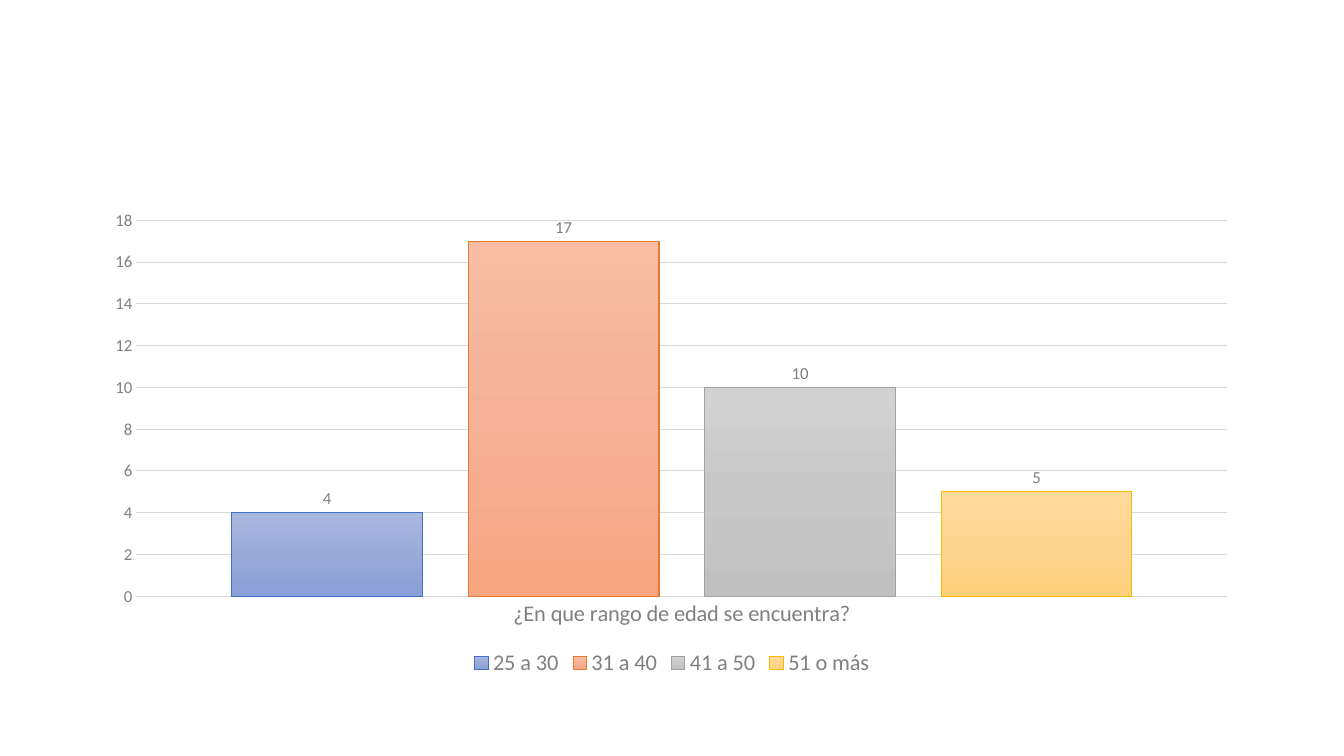
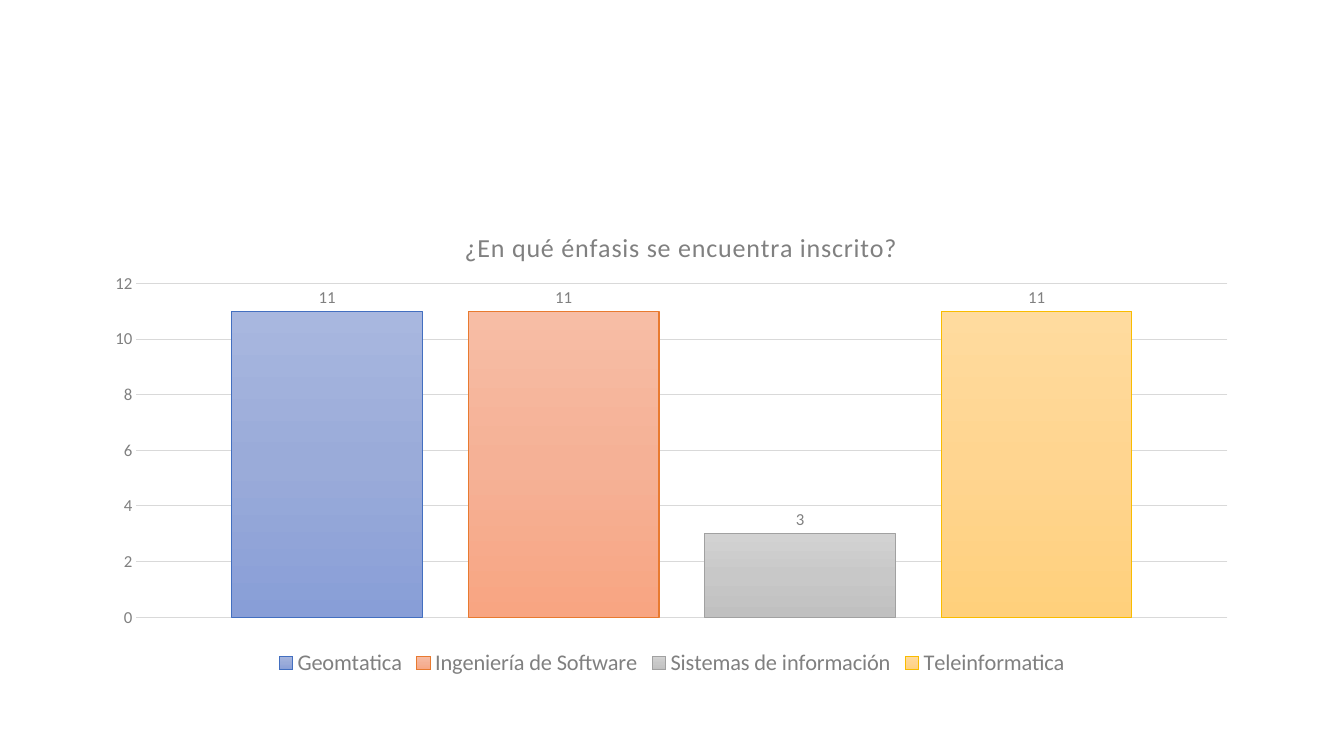
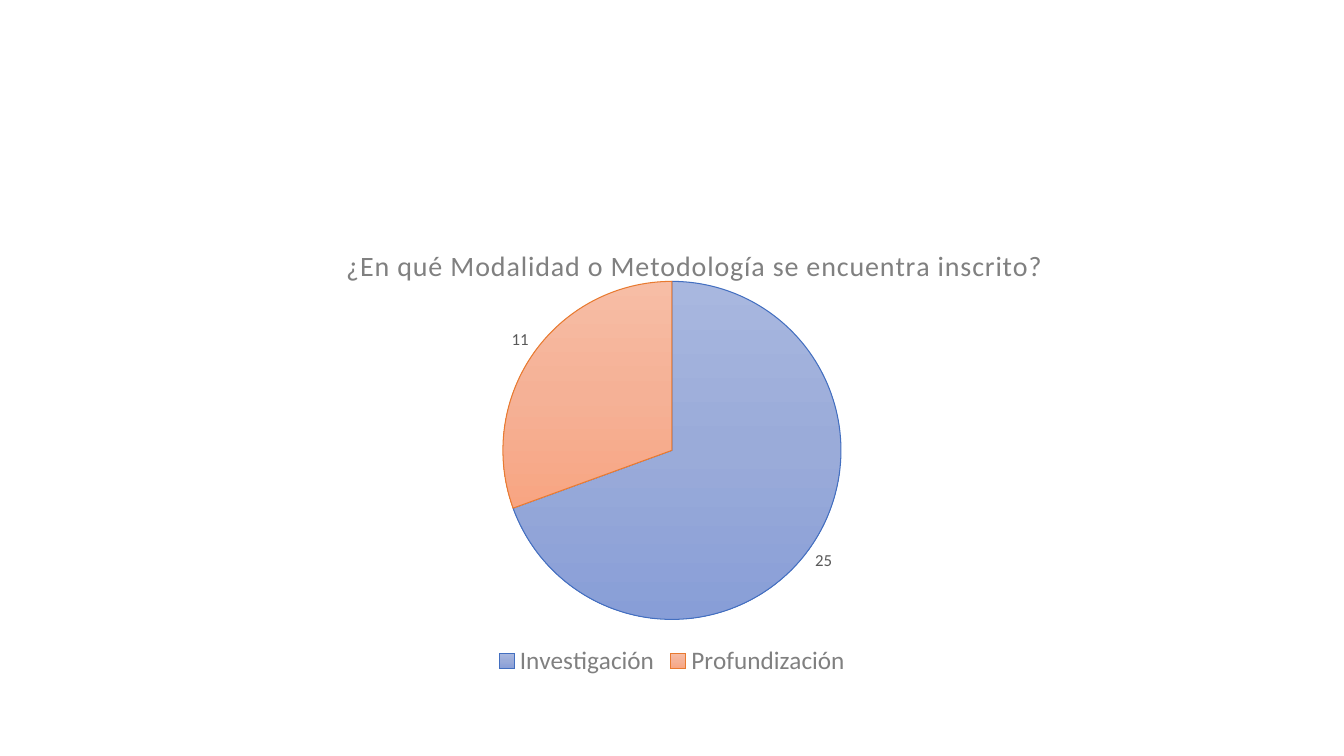
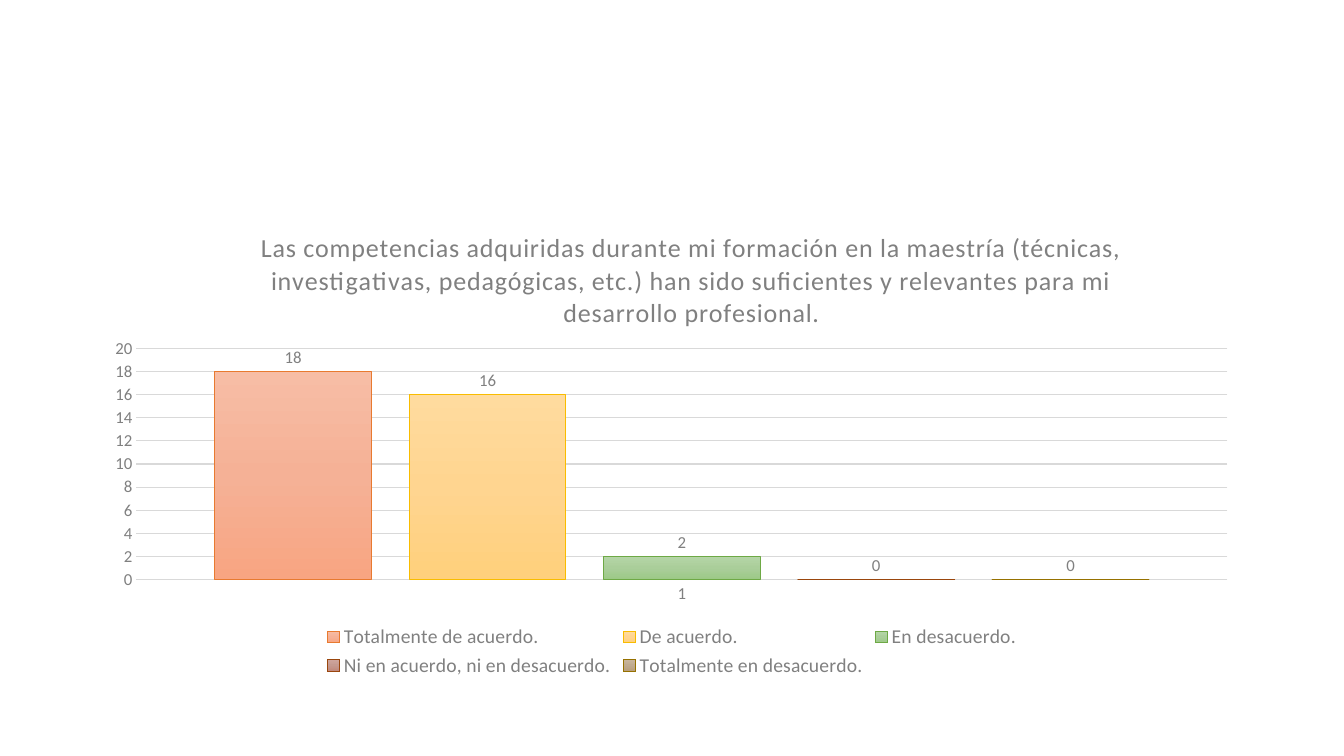
import dataclasses

import lxml.etree
import pptx
import pptx.chart.axis
import pptx.chart.chart
import pptx.chart.data
import pptx.dml.chtfmt
import pptx.dml.color
import pptx.enum.chart
import pptx.oxml.ns
import pptx.slide
import pptx.text.text
import pptx.util

SCALE = 9525
FACE = "Calibri"
GRAY = "808080"
DARK = "595959"
RULE = "D9D9D9"
THIN = 0.75


@dataclasses.dataclass(frozen=True)
class Box:
    left: int
    top: int
    width: int = 0
    height: int = 0


@dataclasses.dataclass(frozen=True)
class Paint:
    stops: tuple[str, str, str]
    line: str


@dataclasses.dataclass(frozen=True)
class Title:
    text: str
    spot: Box
    size: float = 18.62


@dataclasses.dataclass(frozen=True)
class Item:
    name: str
    value: int
    paint: Paint


@dataclasses.dataclass(frozen=True)
class Bars:
    group: str
    items: tuple[Item, ...]
    top: int
    height: int
    peak: int
    legend: int = 16
    axis: int | None = None
    title: Title | None = None


@dataclasses.dataclass(frozen=True)
class Pie:
    items: tuple[Item, ...]
    plot: Box
    title: Title
    legend: int = 18


FRAME = Box(88, 192, 1104, 457)
BLUE = Paint(("A8B7DF", "9AABD9", "889ED7"), "436FC0")
CORAL = Paint(("F7BDA5", "F5B196", "F8A582"), "E87A30")
SILVER = Paint(("D2D2D2", "C8C8C8", "C0C0C0"), "A1A1A1")
GOLD = Paint(("FFDB9E", "FFD590", "FFD07C"), "F9BC00")
GREEN = Paint(("B5D5A7", "AACE9A", "9CC987"), "6EA945")
BROWN = Paint(("CFA69E", "C59A90", "C0887C"), "9A460D")
OLIVE = Paint(("CAB79D", "C0AB90", "B89F7C"), "967100")

AGE = Bars(
    "¿En que rango de edad se encuentra?",
    (
        Item("25 a 30", 4, BLUE),
        Item("31 a 40", 17, CORAL),
        Item("41 a 50", 10, SILVER),
        Item("51 o más", 5, GOLD),
    ),
    top=210, height=358, peak=18, axis=16,
)
FOCUS = Bars(
    "1",
    (
        Item("Geomtatica", 11, BLUE),
        Item("Ingeniería de Software", 11, CORAL),
        Item("Sistemas de información", 3, SILVER),
        Item("Teleinformatica", 11, GOLD),
    ),
    top=270, height=318, peak=12,
    title=Title("¿En qué énfasis se encuentra inscrito?", Box(438, 214)),
)
MODE = Pie(
    (Item("Investigación", 25, BLUE), Item("Profundización", 11, CORAL)),
    Box(479, 268, 322, 322),
    Title(
        "¿En qué Modalidad o Metodología se encuentra inscrito?",
        Box(325, 229), 20,
    ),
)
SKILLS = Bars(
    "1",
    (
        Item("Totalmente de acuerdo.", 18, CORAL),
        Item("De acuerdo.", 16, GOLD),
        Item("En desacuerdo.", 2, GREEN),
        Item("Ni en acuerdo, ni en desacuerdo.", 0, BROWN),
        Item("Totalmente en desacuerdo.", 0, OLIVE),
    ),
    top=332, height=220, peak=20, legend=14, axis=12,
    title=Title(
        "Las competencias adquiridas durante mi formación en la maestría "
        "(técnicas, investigativas, pedagógicas, etc.) han sido suficientes "
        "y relevantes para mi desarrollo profesional.",
        Box(244, 214),
    ),
)


def px(count: int) -> pptx.util.Emu:
    return pptx.util.Emu(count * SCALE)


def rgb(code: str) -> pptx.dml.color.RGBColor:
    return pptx.dml.color.RGBColor.from_string(code)


def tag(name: str) -> str:
    return pptx.oxml.ns.qn(name)


def add(root: lxml.etree.ElementBase, name: str, **attrs: str) -> lxml.etree.ElementBase:
    return lxml.etree.SubElement(root, tag(name), **attrs)


def style(font: pptx.text.text.Font, size: float, color: str = GRAY) -> None:
    font.name = FACE
    font.size = pptx.util.Pt(size)
    font.bold = False
    font.color.rgb = rgb(color)


def coat(form: pptx.dml.chtfmt.ChartFormat, paint: Paint) -> None:
    form.line.width = pptx.util.Pt(THIN)
    form.line.color.rgb = rgb(paint.line)
    props = form._element.get_or_add_spPr()
    fill = add(props, "a:gradFill", rotWithShape="1")
    props.insert(0, fill)
    stops = add(fill, "a:gsLst")
    for step, color in enumerate(paint.stops):
        stop = add(stops, "a:gs", pos=str(step * 50000))
        add(stop, "a:srgbClr", val=color)
    add(fill, "a:lin", ang="5400000", scaled="0")


def place(root: lxml.etree.ElementBase, index: int, spot: Box) -> None:
    for old in root.findall(tag("c:layout")):
        root.remove(old)
    layout = add(root, "c:layout")
    root.insert(index, layout)
    manual = add(layout, "c:manualLayout")
    if spot.width:
        add(manual, "c:layoutTarget", val="inner")
    add(manual, "c:xMode", val="edge")
    add(manual, "c:yMode", val="edge")
    add(manual, "c:x", val=str((spot.left - FRAME.left) / FRAME.width))
    add(manual, "c:y", val=str((spot.top - FRAME.top) / FRAME.height))
    if spot.width:
        add(manual, "c:w", val=str(spot.width / FRAME.width))
        add(manual, "c:h", val=str(spot.height / FRAME.height))


def head(chart: pptx.chart.chart.Chart, title: Title | None) -> None:
    chart.has_title = title is not None
    if title is None:
        return
    frame = chart.chart_title.text_frame
    frame.text = title.text
    para = frame.paragraphs[0]
    style(para.font, title.size)
    para._p.pPr.find(tag("a:defRPr")).set("spc", "50")
    place(chart.chart_title._element, 1, title.spot)


def label(plot: pptx.chart.plot._BasePlot, color: str) -> None:
    plot.has_data_labels = True
    labels = plot.data_labels
    labels.show_value = True
    labels.position = pptx.enum.chart.XL_LABEL_POSITION.OUTSIDE_END
    style(labels.font, 12, color)


def draw(
    slide: pptx.slide.Slide,
    kind: pptx.enum.chart.XL_CHART_TYPE,
    data: pptx.chart.data.CategoryChartData,
    spot: Box,
    title: Title | None,
    legend: int,
) -> pptx.chart.chart.Chart:
    chart = slide.shapes.add_chart(
        kind, px(FRAME.left), px(FRAME.top), px(FRAME.width), px(FRAME.height), data
    ).chart
    style(chart.font, 10, "000000")
    head(chart, title)
    chart.has_legend = True
    chart.legend.position = pptx.enum.chart.XL_LEGEND_POSITION.BOTTOM
    chart.legend.include_in_layout = False
    style(chart.legend.font, legend)
    place(chart._chartSpace.chart.plotArea, 0, spot)
    return chart


def trim(axis: pptx.chart.axis._BaseAxis, size: int) -> None:
    axis.major_tick_mark = pptx.enum.chart.XL_TICK_MARK.NONE
    axis.minor_tick_mark = pptx.enum.chart.XL_TICK_MARK.NONE
    style(axis.tick_labels.font, size)


def rule(line: pptx.dml.line.LineFormat) -> None:
    line.width = pptx.util.Pt(THIN)
    line.color.rgb = rgb(RULE)


def draw_bars(slide: pptx.slide.Slide, bars: Bars) -> None:
    data = pptx.chart.data.CategoryChartData()
    data.categories = [bars.group]
    for item in bars.items:
        data.add_series(item.name, [item.value])
    chart = draw(
        slide, pptx.enum.chart.XL_CHART_TYPE.COLUMN_CLUSTERED, data,
        Box(130, bars.top, 1039, bars.height), bars.title, bars.legend,
    )
    plot = chart.plots[0]
    plot.vary_by_categories = False
    plot.gap_width = 100
    plot.overlap = -24
    label(plot, GRAY)
    for series, item in zip(plot.series, bars.items):
        coat(series.format, item.paint)
    scale = chart.value_axis
    trim(scale, 12)
    scale.minimum_scale = 0
    scale.maximum_scale = bars.peak
    scale.major_unit = 2
    scale.format.line.fill.background()
    rule(scale.major_gridlines.format.line)
    base = chart.category_axis
    base.visible = bars.axis is not None
    if bars.axis is not None:
        trim(base, bars.axis)
        rule(base.format.line)


def draw_pie(slide: pptx.slide.Slide, pie: Pie) -> None:
    data = pptx.chart.data.CategoryChartData()
    data.categories = [item.name for item in pie.items]
    data.add_series(pie.title.text, [item.value for item in pie.items])
    chart = draw(
        slide, pptx.enum.chart.XL_CHART_TYPE.PIE, data,
        pie.plot, pie.title, pie.legend,
    )
    plot = chart.plots[0]
    plot.vary_by_categories = True
    label(plot, DARK)
    for index, item in enumerate(pie.items):
        coat(plot.series[0].points[index].format, item.paint)


def main() -> None:
    deck = pptx.Presentation()
    deck.slide_width = px(1280)
    deck.slide_height = px(720)
    for page in (AGE, FOCUS, MODE, SKILLS):
        slide = deck.slides.add_slide(deck.slide_layouts[6])
        if isinstance(page, Pie):
            draw_pie(slide, page)
        else:
            draw_bars(slide, page)
    deck.save("out.pptx")


if __name__ == "__main__":
    main()
